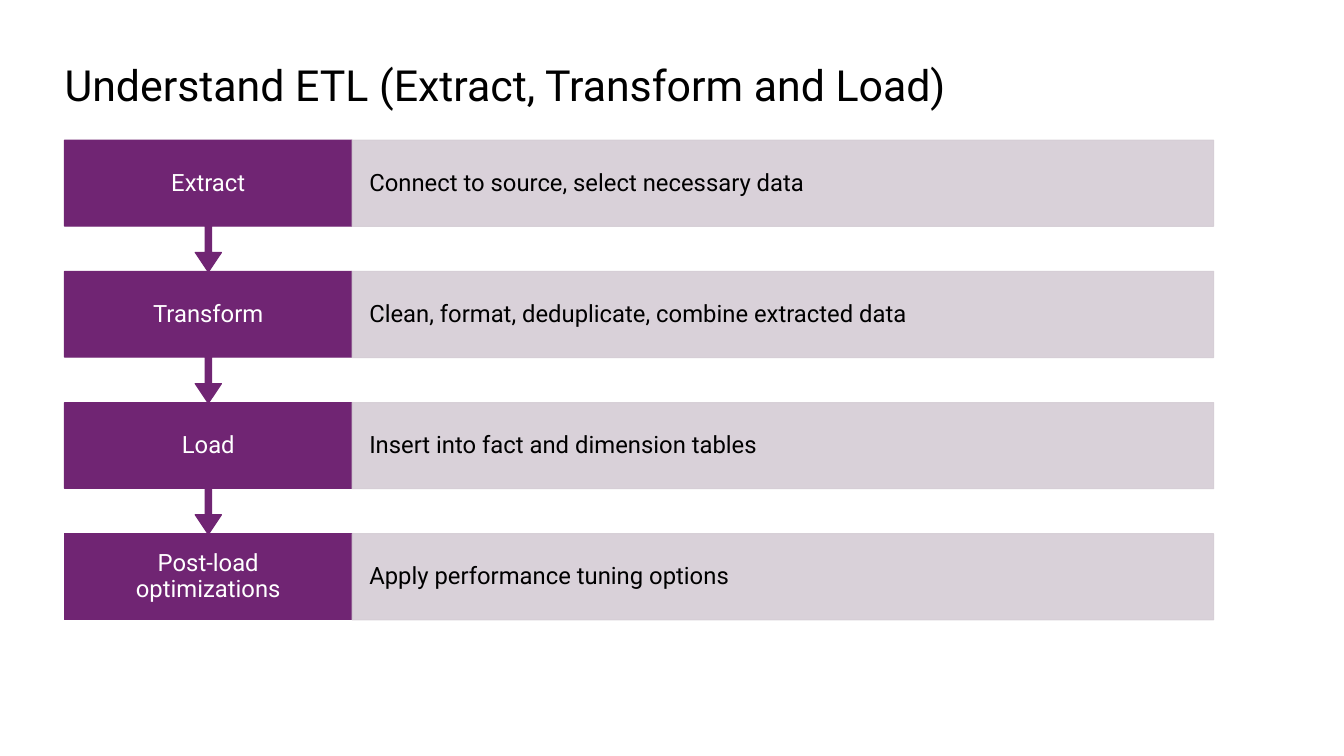
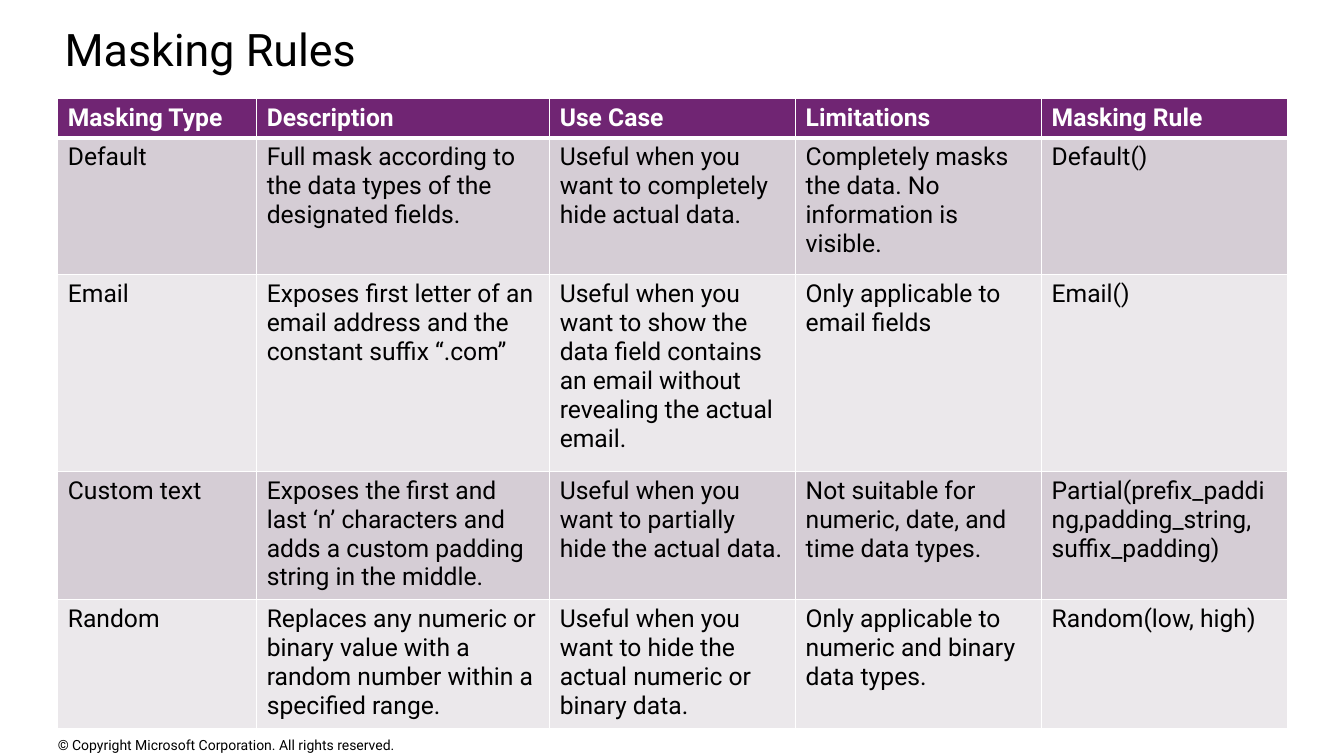
from dataclasses import dataclass

from lxml.etree import SubElement
from pptx import Presentation
from pptx.dml.color import RGBColor
from pptx.enum.shapes import MSO_SHAPE
from pptx.enum.text import MSO_ANCHOR, PP_ALIGN
from pptx.oxml import parse_xml
from pptx.oxml.ns import nsdecls, qn
from pptx.util import Inches, Pt

WIDTH, HEIGHT = Inches(13.33), Inches(7.5)
FONT = "Roboto"
COLORS = {
    "accent": "702573",
    "band": "D5CDD5",
    "pale": "EBE8EB",
    "ink": "000000",
    "white": "FFFFFF",
}


@dataclass(frozen=True)
class Box:
    """Place and size in percent of the slide's width and height."""
    left: float
    top: float
    width: float
    height: float

    def emu(self) -> tuple[int, int, int, int]:
        return (across(self.left), down(self.top),
                across(self.width), down(self.height))


@dataclass(frozen=True)
class Style:
    size: float
    color: str = "ink"
    bold: bool = False
    align: PP_ALIGN = PP_ALIGN.LEFT
    anchor: MSO_ANCHOR = MSO_ANCHOR.TOP
    spacing: float = 1.0
    inset: tuple[float, float] = (0, 0)


@dataclass(frozen=True)
class Stage:
    label: str
    detail: str


LABEL = Style(17, "white", align=PP_ALIGN.CENTER, anchor=MSO_ANCHOR.MIDDLE,
              spacing=0.9, inset=(0.2, 0.13))
DETAIL = Style(17, anchor=MSO_ANCHOR.MIDDLE, spacing=0.9, inset=(0.17, 0.24))
FOOTER = Style(10, anchor=MSO_ANCHOR.MIDDLE)
HEAD = Style(17.6, "white", bold=True)
BODY = Style(17.6)

STAGES = [
    Stage("Extract", "Connect to source, select necessary data"),
    Stage("Transform", "Clean, format, deduplicate, combine extracted data"),
    Stage("Load", "Insert into fact and dimension tables"),
    Stage("Post-load optimizations", "Apply performance tuning options"),
]
STAGE_TOP, STAGE_STEP, STAGE_HIGH = 18.55, 17.35, 11.4
LABEL_LEFT, LABEL_WIDE, DETAIL_WIDE = 4.8, 21.4, 64.1

RULES = [
    ["Masking Type", "Description", "Use Case", "Limitations", "Masking Rule"],
    ["Default",
     "Full mask according to the data types of the designated fields.",
     "Useful when you want to completely hide actual data.",
     "Completely masks the data. No information is visible.",
     "Default()"],
    ["Email",
     "Exposes first letter of an email address and the constant suffix “.com”",
     "Useful when you want to show the data field contains an email without "
     "revealing the actual email.",
     "Only applicable to email fields",
     "Email()"],
    ["Custom text",
     "Exposes the first and last ‘n’ characters and adds a custom padding "
     "string in the middle.",
     "Useful when you want to partially hide the actual data.",
     "Not suitable for numeric, date, and time data types.",
     "Partial(prefix_padding,padding_string, suffix_padding)"],
    ["Random",
     "Replaces any numeric or binary value with a random number within a "
     "specified range.",
     "Useful when you want to hide the actual numeric or binary data.",
     "Only applicable to numeric and binary data types.",
     "Random(low, high)"],
]
COLUMNS = [14.8, 21.8, 18.3, 18.3, 18.3]
ROWS = [5, 18.1, 26, 16.7, 16.6]


def across(share: float) -> int:
    return round(WIDTH * share / 100)


def down(share: float) -> int:
    return round(HEIGHT * share / 100)


def color(name: str) -> RGBColor:
    return RGBColor.from_string(COLORS[name])


def write(frame, text: str, style: Style) -> None:
    frame.text = text
    for para in frame.paragraphs:
        para.alignment = style.align
        para.line_spacing = style.spacing
        for run in para.runs:
            font = run.font
            font.name, font.size, font.bold = FONT, Pt(style.size), style.bold
            font.color.rgb = color(style.color)


def fit(frame, style: Style) -> None:
    """Set the wrap, anchor and insets of a shape's text."""
    side, edge = map(Inches, style.inset)
    frame.word_wrap = True
    frame.vertical_anchor = style.anchor
    frame.margin_left = frame.margin_right = side
    frame.margin_top = frame.margin_bottom = edge


def add_text(slide, box: Box, text: str, style: Style) -> None:
    frame = slide.shapes.add_textbox(*box.emu()).text_frame
    fit(frame, style)
    write(frame, text, style)


def add_title(slide, top: float, text: str, size: float,
              spacing: float = 1.0) -> None:
    add_text(slide, Box(4.8, top, 67.2, 7.2), text,
             Style(size, spacing=spacing))


def add_block(slide, kind: MSO_SHAPE, box: Box, fill: str, alpha: int = 100):
    shape = slide.shapes.add_shape(kind, *box.emu())
    shape.shadow.inherit = False
    shape.fill.solid()
    shape.fill.fore_color.rgb = color(fill)
    shape.line.color.rgb = color(fill)
    shape.line.width = Pt(0.75)
    if alpha < 100:
        for tone in shape._element.spPr.iter(qn("a:srgbClr")):
            SubElement(tone, qn("a:alpha")).set("val", str(alpha * 1000))
    return shape


def add_stage(slide, stage: Stage, top: float, last: bool) -> None:
    label = Box(LABEL_LEFT, top, LABEL_WIDE, STAGE_HIGH)
    if last:
        add_block(slide, MSO_SHAPE.RECTANGLE, label, "accent")
    else:
        reach = Box(LABEL_LEFT, top, LABEL_WIDE, STAGE_STEP + 0.1)
        arrow = add_block(slide, MSO_SHAPE.UP_ARROW_CALLOUT, reach, "accent")
        arrow.rotation = 180
        for spot, value in enumerate((0.05, 0.1, 0.15, 0.65)):
            arrow.adjustments[spot] = value
    add_text(slide, label, stage.label, LABEL)

    place = Box(LABEL_LEFT + LABEL_WIDE, top, DETAIL_WIDE, STAGE_HIGH)
    bar = add_block(slide, MSO_SHAPE.RECTANGLE, place, "band", 90)
    fit(bar.text_frame, DETAIL)
    write(bar.text_frame, stage.detail, DETAIL)


def edge_cell(cell, top: float, bottom: float) -> None:
    """Draw white borders, with widths in points."""
    props = cell._tc.get_or_add_tcPr()
    sides = {"L": 1, "R": 1, "T": top, "B": bottom}
    for spot, (side, width) in enumerate(sides.items()):
        props.insert(spot, parse_xml(
            f'<a:ln{side} {nsdecls("a")} w="{Pt(width)}"><a:solidFill>'
            f'<a:srgbClr val="{COLORS["white"]}"/></a:solidFill></a:ln{side}>'))


def add_rules(slide) -> None:
    box = Box(4.3, 13, sum(COLUMNS), sum(ROWS))
    table = slide.shapes.add_table(len(ROWS), len(COLUMNS), *box.emu()).table
    for column, share in zip(table.columns, COLUMNS):
        column.width = across(share)
    for row, share in zip(table.rows, ROWS):
        row.height = down(share)
    for r, texts in enumerate(RULES):
        fill = "accent" if r == 0 else ("pale", "band")[r % 2]
        for c, text in enumerate(texts):
            cell = table.cell(r, c)
            cell.fill.solid()
            cell.fill.fore_color.rgb = color(fill)
            edge_cell(cell, 3 if r == 1 else 1, 3 if r == 0 else 1)
            write(cell.text_frame, text, HEAD if r == 0 else BODY)


def build_flow(slide) -> None:
    add_title(slide, 8.5, "Understand ETL (Extract, Transform and Load)",
              30.6, 0.9)
    final = len(STAGES) - 1
    for spot in range(final, -1, -1):
        add_stage(slide, STAGES[spot], STAGE_TOP + spot * STAGE_STEP,
                  spot == final)


def build_rules(slide) -> None:
    add_title(slide, 2.9, "Masking Rules", 32)
    add_text(slide, Box(4.3, 97.1, 34, 2.9),
             "© Copyright Microsoft Corporation. All rights reserved.", FOOTER)
    add_rules(slide)


def main() -> None:
    deck = Presentation()
    deck.slide_width, deck.slide_height = WIDTH, HEIGHT
    for build in (build_flow, build_rules):
        build(deck.slides.add_slide(deck.slide_layouts[6]))
    deck.save("out.pptx")


if __name__ == "__main__":
    main()
